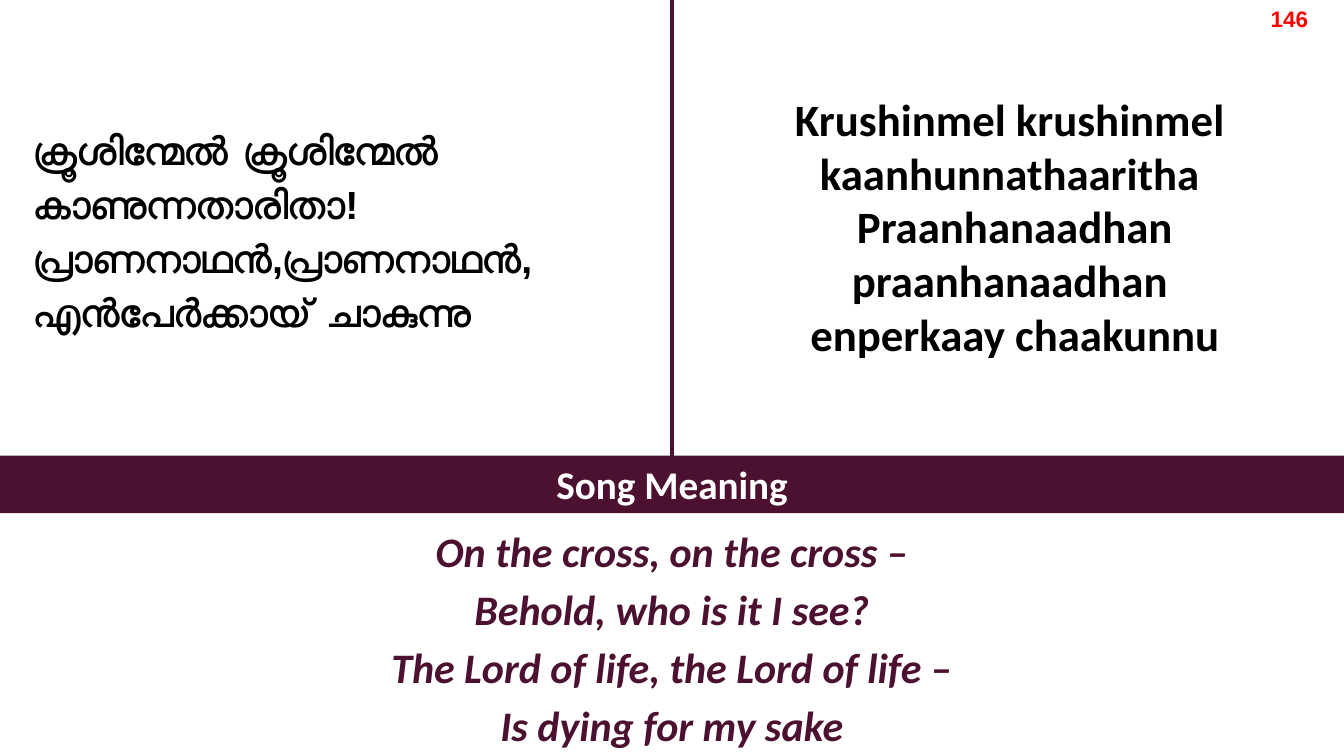
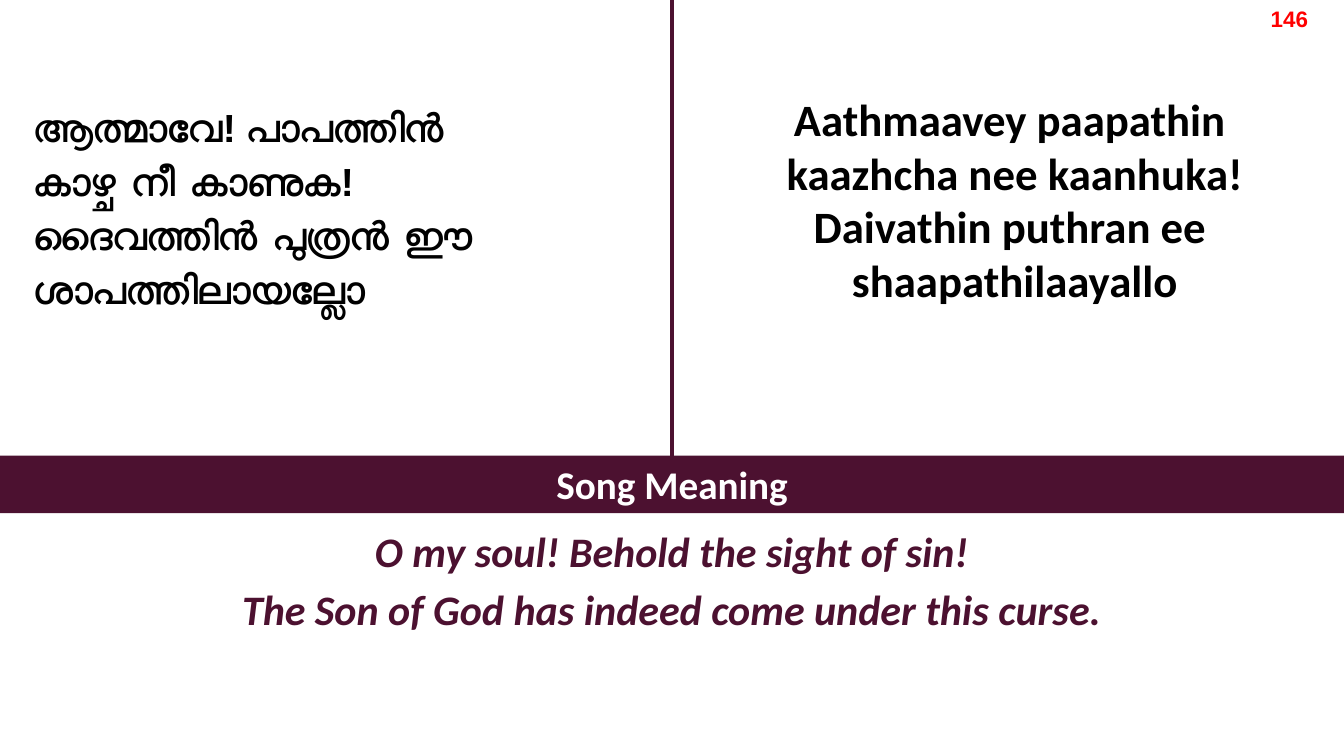
import pptx
import pptx.util
import pptx.dml.color
import pptx.enum.shapes
import pptx.enum.text
import pptx.oxml

Pt = pptx.util.Pt
Align = pptx.enum.text.PP_ALIGN
Anchor = pptx.enum.text.MSO_ANCHOR
Auto = pptx.enum.text.MSO_AUTO_SIZE

WIDE, HIGH = 960, 540
MID = WIDE / 2
BAND_TOP, BAND_HIGH = 325.5, 41
PLUM, BLACK, WHITE, RED = "4C1130", "000000", "FFFFFF", "FF0000"

# rows counts the romanised lines after wrapping; lift raises the verse
SONGS = [
    {
        "verse": ["ക്രൂശിന്മേൽ ക്രൂശിന്മേൽ ", "കാണുന്നതാരിതാ!",
                  "പ്രാണനാഥൻ,പ്രാണനാഥൻ, ", "എൻപേർക്കായ് ചാകുന്നു"],
        "roman": ["Krushinmel krushinmel ", "kaanhunnathaaritha ",
                  "Praanhanaadhan praanhanaadhan ", "enperkaay chaakunnu"],
        "sense": ["On the cross, on the cross –", "Behold, who is it I see?",
                  "The Lord of life, the Lord of life –",
                  "Is dying for my sake"],
        "rows": 5, "lift": 0,
    },
    {
        "verse": ["ആത്മാവേ! പാപത്തിൻ ", "കാഴ്ച നീ കാണുക! ",
                  "ദൈവത്തിൻ പുത്രൻ ഈ ശാപത്തിലായല്ലോ"],
        "roman": ["Aathmaavey paapathin ", "kaazhcha nee kaanhuka!",
                  "Daivathin puthran ee ", "shaapathilaayallo"],
        "sense": ["O my soul! Behold the sight of sin!",
                  "The Son of God has indeed come under this curse."],
        "rows": 4, "lift": 16.5,
    },
]


def rgb(code):
    return pptx.dml.color.RGBColor.from_string(code)


class Deck:
    def __init__(self):
        self.show = pptx.Presentation()
        self.show.slide_width, self.show.slide_height = Pt(WIDE), Pt(HIGH)
        self.slide = None

    def page(self):
        self.slide = self.show.slides.add_slide(self.show.slide_layouts[6])

    def fill(self, shape, paras, size, color, font="Calibri", italic=False,
             align=Align.CENTER, space=None, pad=(7.2, 3.6), grow=True):
        """Write one paragraph per entry in the shape, all in one style."""
        frame = shape.text_frame
        frame.word_wrap = True
        frame.auto_size = Auto.SHAPE_TO_FIT_TEXT if grow else Auto.NONE
        frame.margin_left = frame.margin_right = Pt(pad[0])
        frame.margin_top = frame.margin_bottom = Pt(pad[1])
        for i, words in enumerate(paras):
            para = frame.add_paragraph() if i else frame.paragraphs[0]
            para.text = words
            para.alignment = align
            para.line_spacing = space
            for run in para.runs:
                run.font.name, run.font.size = font, Pt(size)
                run.font.bold, run.font.italic = True, italic
                run.font.color.rgb = rgb(color)
        return frame

    def text(self, x, y, w, h, paras, size, color, **style):
        box = self.slide.shapes.add_textbox(Pt(x), Pt(y), Pt(w), Pt(h))
        return self.fill(box, paras, size, color, **style)

    def band(self, words):
        kind = pptx.enum.shapes.MSO_SHAPE.RECTANGLE
        bar = self.slide.shapes.add_shape(
            kind, 0, Pt(BAND_TOP), Pt(WIDE), Pt(BAND_HIGH))
        bar.shadow.inherit = False
        bar.fill.solid()
        bar.fill.fore_color.rgb = rgb(PLUM)
        bar.line.fill.background()
        frame = self.fill(bar, [words], 28, WHITE)
        frame.vertical_anchor = Anchor.TOP
        return bar

    def divide(self, bar):
        """Draw the upright rule from the top edge down to the band."""
        kind = pptx.enum.shapes.MSO_CONNECTOR.STRAIGHT
        rule = self.slide.shapes.add_connector(
            kind, Pt(MID), 0, Pt(MID), Pt(BAND_TOP))
        rule.end_connect(bar, 0)
        rule.line.color.rgb = rgb(PLUM)
        rule.line.width = Pt(3)
        props = rule._element.spPr
        props.append(pptx.oxml.parse_xml(
            '<a:effectLst xmlns:a="http://schemas.openxmlformats.org/'
            'drawingml/2006/main"/>'))

    def song(self, verse, roman, sense, rows, lift):
        self.page()
        frame = self.text(17, 10, 462, 305, ["\n".join(verse)], 28, BLACK,
                          font="Arial", align=Align.LEFT, space=1.15,
                          grow=False)
        frame.vertical_anchor = Anchor.MIDDLE
        frame.margin_bottom = Pt(3.6 + 2 * lift)
        self.text(490, 61, 470, 39 * rows + 9, roman, 32, BLACK,
                  pad=(8.6, 4.3))
        self.text(66, BAND_TOP + BAND_HIGH, 828, 41.5 * len(sense) + 8,
                  sense, 30, PLUM, italic=True, space=1.15)
        self.divide(self.band("Song Meaning"))
        self.text(882, 0, 78, 26.6, ["146"], 16, RED, font="Arial")


def main():
    deck = Deck()
    for song in SONGS:
        deck.song(**song)
    deck.show.save("out.pptx")


if __name__ == "__main__":
    main()
